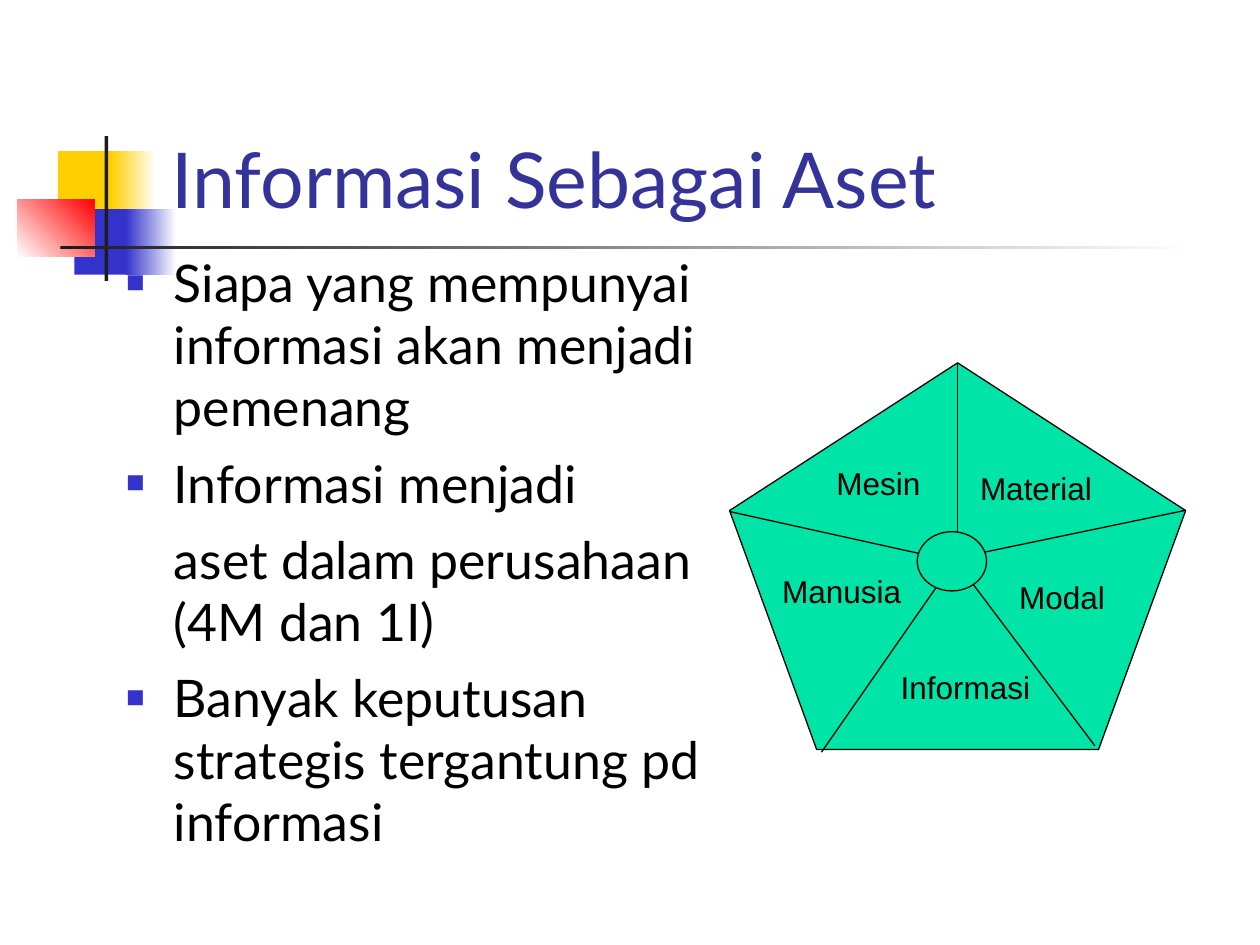
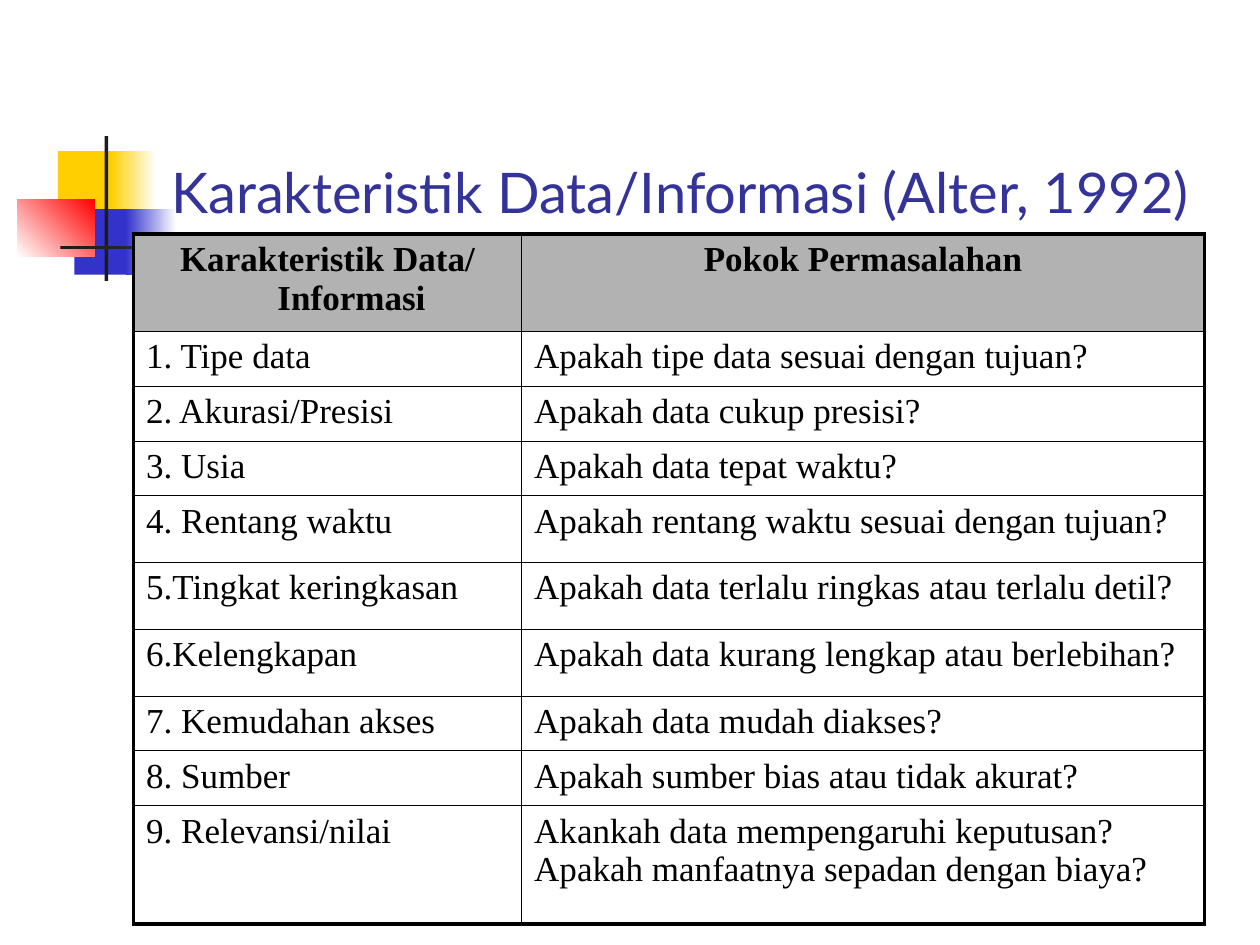
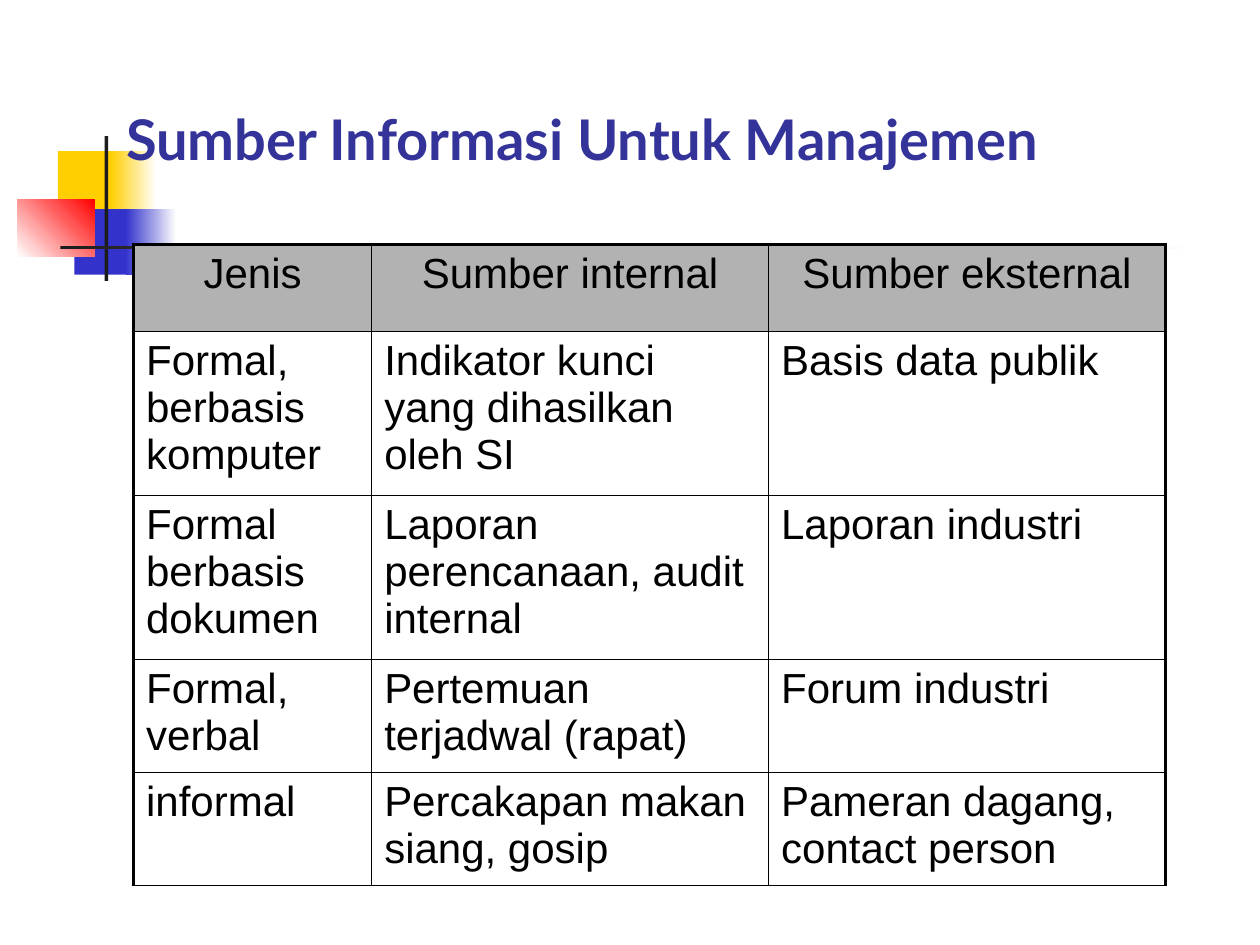
from lxml import etree
from pptx import Presentation
from pptx import util as u
from pptx.dml.color import RGBColor
from pptx.enum import shapes, text
from pptx.oxml import ns

COLORS = {
    "title": "333399", "ink": "000000", "bar": "1C1C1C", "white": "FFFFFF",
    "yellow": "FFCF01", "blue": "3333CC", "red": "FF0000",
    "mint": "00E4A8", "header": "B2B2B2",
}
TITLE_FONT, LABEL_FONT, TABLE_FONT = "Lato", "Arial", "Times New Roman"
COLS, ROWS = 100, 75
CELL = u.Inches(0.1)
HANG = u.Inches(0.38)
THIN, THICK = u.Pt(0.45), u.Pt(2.5)

TITLE_BOX = (12.6, 2.3, 85.2, 16)
ORNAMENT = [  # box, start colour, end colour (None for solid), angle
    ((4.6, 12, 4.8, 5.2), "yellow", None, 0),
    ((8.8, 12, 3.6, 5.2), "yellow", "white", 0),
    ((5.9, 16.6, 4.6, 5.2), "blue", None, 0),
    ((10, 16.6, 4, 5.2), "blue", "white", 0),
    ((1.4, 15.8, 6.1, 4.6), "white", "red", 45),
    ((8.3, 10.8, 0.3, 11.5), "bar", None, 0),
    ((4.8, 19.5, 90, 0.3), "bar", "white", 0),
]

ASSET_POINTS = [  # text, has a bullet
    ("Siapa yang mempunyai informasi akan menjadi pemenang", True),
    ("Informasi menjadi", True),
    ("aset dalam perusahaan (4M dan 1I)", False),
    ("Banyak keputusan strategis tergantung pd informasi", True),
]
SPOKES = [
    (76, 28.8, 76, 44.6), (57.9, 40.6, 76, 44.6), (76.2, 43.9, 65.2, 59.7),
    (76.2, 45, 86.9, 59.2), (76.8, 44.1, 94.1, 40.5),
]
ASSETS = [
    ("Manusia", 61.1, 44.9), ("Mesin", 65.4, 36.3), ("Material", 76.8, 36.7),
    ("Modal", 79.9, 45.4), ("Informasi", 70.5, 52.5),
]
CHARACTERISTICS = [
    ("Karakteristik Data/ Informasi", "Pokok Permasalahan"),
    ("1. Tipe data", "Apakah tipe data sesuai dengan tujuan?"),
    ("2. Akurasi/Presisi", "Apakah data cukup presisi?"),
    ("3. Usia", "Apakah data tepat waktu?"),
    ("4. Rentang waktu", "Apakah rentang waktu sesuai dengan tujuan?"),
    ("5.Tingkat keringkasan", "Apakah data terlalu ringkas atau terlalu detil?"),
    ("6.Kelengkapan", "Apakah data kurang lengkap atau berlebihan?"),
    ("7. Kemudahan akses", "Apakah data mudah diakses?"),
    ("8. Sumber", "Apakah sumber bias atau tidak akurat?"),
    ("9. Relevansi/nilai",
     "Akankah data mempengaruhi keputusan?\nApakah manfaatnya sepadan dengan biaya?"),
]
SOURCES = [
    ("Jenis", "Sumber internal", "Sumber eksternal"),
    ("Formal, berbasis komputer", "Indikator kunci yang dihasilkan oleh SI",
     "Basis data publik"),
    ("Formal berbasis dokumen", "Laporan perencanaan, audit internal",
     "Laporan industri"),
    ("Formal, verbal", "Pertemuan terjadwal (rapat)", "Forum industri"),
    ("informal", "Percakapan makan siang, gosip", "Pameran dagang, contact person"),
]


def grid(*lengths):
    """Turn grid units into EMU."""
    return [int(n * CELL) for n in lengths]


def rgb(name):
    return RGBColor.from_string(COLORS[name])


def move(shape, box):
    shape.left, shape.top, shape.width, shape.height = grid(*box)


def format_runs(p, font, size, color="ink", bold=False):
    for r in p.runs:
        r.font.name, r.font.size, r.font.bold = font, u.Pt(size), bold
        r.font.color.rgb = rgb(color)


def sub(parent, tag, **attrs):
    return etree.SubElement(parent, ns.qn(tag), attrs)


def set_indent(p, first=-HANG):
    pPr = p._p.get_or_add_pPr()
    pPr.set("marL", str(HANG))
    pPr.set("indent", str(first))
    return pPr


def add_bullet(pPr):
    sub(sub(pPr, "a:buClr"), "a:srgbClr", val=COLORS["blue"])
    sub(pPr, "a:buSzPct", val="60000")
    sub(pPr, "a:buFont", typeface=LABEL_FONT)
    sub(pPr, "a:buChar", char="■")


def add_solid(s, kind, box, color, outlined=False):
    shape = s.shapes.add_shape(kind, *grid(*box))
    shape.shadow.inherit = False
    shape.fill.solid()
    shape.fill.fore_color.rgb = rgb(color)
    if outlined:
        shape.line.color.rgb = rgb("ink")
        shape.line.width = u.Pt(0.75)
    else:
        shape.line.fill.background()
    return shape


def add_ornament(prs, s):
    """Build the corner ornament and hand it to the master, so all slides show it."""
    master_tree = prs.slide_master.shapes.element
    for box, start, end, angle in ORNAMENT:
        shape = add_solid(s, shapes.MSO_SHAPE.RECTANGLE, box, start)
        if end:
            shape.fill.gradient()
            shape.fill.gradient_angle = angle
            for stop, name in zip(shape.fill.gradient_stops, (start, end)):
                stop.color.rgb = rgb(name)
                stop.position = 0 if name == start else 1
        master_tree.append(shape.element)


def set_title(s, title, size, box=TITLE_BOX, bold=False):
    shape = s.shapes.title
    move(shape, box)
    tf = shape.text_frame
    tf.text = title
    tf.auto_size = text.MSO_AUTO_SIZE.NONE
    tf.vertical_anchor = text.MSO_ANCHOR.BOTTOM
    p = tf.paragraphs[0]
    p.alignment = text.PP_ALIGN.LEFT
    format_runs(p, TITLE_FONT, size, "title", bold)


def set_list(s, points, box):
    body = s.placeholders[1]
    move(body, box)
    tf = body.text_frame
    tf.text = "\n".join(point for point, _ in points)
    tf.auto_size = text.MSO_AUTO_SIZE.NONE
    for p, (_, bulleted) in zip(tf.paragraphs, points):
        p.space_before = u.Pt(8)
        format_runs(p, TITLE_FONT, 29.6)
        if bulleted:
            add_bullet(set_indent(p))
        else:
            sub(set_indent(p, 0), "a:buNone")


def add_spoke(s, ends):
    line = s.shapes.add_connector(shapes.MSO_CONNECTOR.STRAIGHT, *grid(*ends))
    line.line.color.rgb = rgb("ink")
    line.line.width = u.Pt(0.75)
    sub(line.element.spPr, "a:effectLst")


def add_label(s, label, x, y):
    tf = s.shapes.add_textbox(*grid(x, y, 14.2, 4)).text_frame
    tf.word_wrap = True
    tf.text = label
    p = tf.paragraphs[0]
    p.space_before = u.Pt(11.2)
    format_runs(p, LABEL_FONT, 18)


def add_asset_pentagon(s):
    add_solid(s, shapes.MSO_SHAPE.REGULAR_PENTAGON, (57.9, 28.8, 36.2, 30.7), "mint", True)
    for ends in SPOKES:
        add_spoke(s, ends)
    add_solid(s, shapes.MSO_SHAPE.OVAL, (72.8, 42.2, 5.5, 4.7), "mint", True)
    for asset in ASSETS:
        add_label(s, *asset)


def set_borders(cell, **widths):
    tcPr = cell._tc.get_or_add_tcPr()
    for side in "LRTB":
        ln = sub(tcPr, "a:ln" + side, w=str(widths[side]))
        sub(sub(ln, "a:solidFill"), "a:srgbClr", val=COLORS["ink"])


def add_grid_table(s, origin, col_widths, row_heights, rows, font, size,
                   bold_header=False, hanging=False, bottom=THICK):
    """Add a table with a grey header row and a thick outer frame."""
    box = (*origin, sum(col_widths), sum(row_heights))
    table = s.shapes.add_table(len(rows), len(col_widths), *grid(*box)).table
    table.first_row = table.horz_banding = False
    for col, width in zip(table.columns, grid(*col_widths)):
        col.width = width
    for row, height in zip(table.rows, grid(*row_heights)):
        row.height = height
    last_row, last_col = len(rows) - 1, len(col_widths) - 1
    for i, row in enumerate(rows):
        for j, content in enumerate(row):
            cell = table.cell(i, j)
            cell.text_frame.text = content
            for p in cell.text_frame.paragraphs:
                if hanging:
                    set_indent(p)
                if i == 0:
                    p.alignment = text.PP_ALIGN.CENTER
                format_runs(p, font, size, bold=bold_header and i == 0)
            set_borders(cell, L=THIN if j else THICK,
                        R=THICK if j == last_col else THIN,
                        T=THIN if i else THICK,
                        B=bottom if i == last_row else THIN)
            if i == 0:
                cell.fill.solid()
                cell.fill.fore_color.rgb = rgb("header")
            else:
                cell.fill.background()


def main():
    prs = Presentation()
    prs.slide_width, prs.slide_height = grid(COLS, ROWS)
    list_layout, title_layout = prs.slide_layouts[1], prs.slide_layouts[5]

    s = prs.slides.add_slide(list_layout)
    add_ornament(prs, s)
    set_title(s, "Informasi Sebagai Aset", 44)
    set_list(s, ASSET_POINTS, (9, 19.4, 52, 52))
    add_asset_pentagon(s)

    s = prs.slides.add_slide(title_layout)
    set_title(s, "Karakteristik Data/Informasi (Alter, 1992)", 32)
    heights = [7.7] + [4.35] * 3 + [5.3] * 3 + [4.35] * 2 + [9.4]
    add_grid_table(s, (10.6, 18.6), [30.8, 54.2], heights, CHARACTERISTICS,
                   TABLE_FONT, 20, bold_header=True, hanging=True)

    s = prs.slides.add_slide(title_layout)
    set_title(s, "Sumber Informasi Untuk Manajemen", 32, (9, 3.6, 85.2, 10.5), bold=True)
    add_grid_table(s, (10.6, 19.4), [18.9, 31.5, 31.5], [6.9, 13, 13, 9, 9], SOURCES,
                   LABEL_FONT, 24, bottom=THIN)

    prs.save("out.pptx")


if __name__ == "__main__":
    main()
